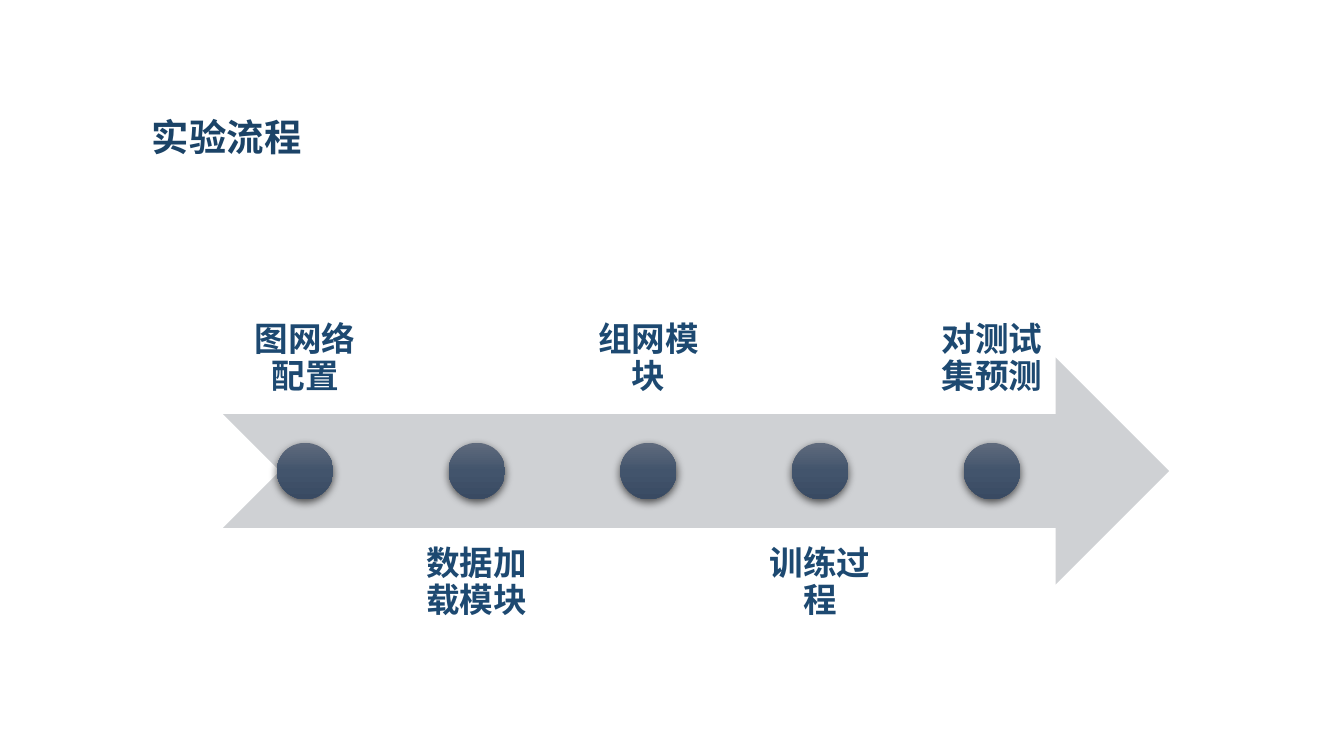
import lxml.etree
import pptx
import pptx.dml.color
import pptx.enum.shapes
import pptx.enum.text
import pptx.oxml.ns
import pptx.util

Inches = pptx.util.Inches
Pt = pptx.util.Pt
Shape = pptx.enum.shapes.MSO_SHAPE
Align = pptx.enum.text.PP_ALIGN
Anchor = pptx.enum.text.MSO_ANCHOR
qn = pptx.oxml.ns.qn

FONT = "Noto Sans CJK SC"
COLORS = {"title": "1B4367", "label": "1D4971", "arrow": "CFD1D4", "shadow": "000000"}
DOT_STOPS = {0: "606B7D", 50: "42546C", 100: "394A62"}
STEPS = ["图网络配置", "数据加载模块", "组网模块", "训练过程", "对测试集预测"]


def add_xml(parent, tag, **attributes):
    return lxml.etree.SubElement(parent, qn(tag), attributes)


def write_text(box, text, size, color, align, anchor, margins):
    frame = box.text_frame
    frame.word_wrap = True
    frame.auto_size = pptx.enum.text.MSO_AUTO_SIZE.NONE
    frame.vertical_anchor = anchor
    frame.margin_left = frame.margin_right = Inches(margins[0])
    frame.margin_top = frame.margin_bottom = Inches(margins[1])
    frame.text = text
    para = frame.paragraphs[0]
    para.alignment = align
    para.space_before = Pt(0)
    span = para.runs[0]
    span.font.size = Pt(size)
    span.font.bold = True
    span.font.name = FONT
    span.font.color.rgb = pptx.dml.color.RGBColor.from_string(color)
    add_xml(span.font._element, "a:ea", typeface=FONT)
    return para


def add_shape(page, kind, left, top, width, height):
    shape = page.shapes.add_shape(
        kind, Inches(left), Inches(top), Inches(width), Inches(height))
    shape.line.fill.background()
    shape.shadow.inherit = False
    return shape


def add_title(page, left, top, width, height):
    title = page.shapes.title
    title.left, title.top = Inches(left), Inches(top)
    title.width, title.height = Inches(width), Inches(height)
    para = write_text(title, "实验流程", 20, COLORS["title"], Align.LEFT, Anchor.TOP, (0.07, 0.04))
    para.line_spacing = 1.0


def add_dot(page, left, top, size):
    """Add a circle with a vertical gradient and a soft shadow below."""
    dot = add_shape(page, Shape.OVAL, left, top, size, size)
    dot.fill.gradient()
    dot.fill.gradient_angle = 270
    properties = dot._element.spPr
    stops = properties.find(".//" + qn("a:gsLst"))
    for stop in list(stops):
        stops.remove(stop)
    for percent, color in DOT_STOPS.items():
        stop = add_xml(stops, "a:gs", pos=str(percent * 1000))
        add_xml(stop, "a:srgbClr", val=color)
    shadow = add_xml(properties.find(qn("a:effectLst")), "a:outerShdw",
                     blurRad=str(Pt(4.5)), dist=str(Pt(1.5)), dir="5400000", rotWithShape="0")
    color = add_xml(shadow, "a:srgbClr", val=COLORS["shadow"])
    add_xml(color, "a:alpha", val="63000")


def add_process(page, left, top, width, height):
    """Add the arrow with its dots, and labels alternating above and below."""
    arrow = add_shape(page, Shape.NOTCHED_RIGHT_ARROW, left, top, width, height)
    arrow.fill.solid()
    arrow.fill.fore_color.rgb = pptx.dml.color.RGBColor.from_string(COLORS["arrow"])

    label_width, dot_size = 1.22, 0.42
    pitch = 5.11 / (len(STEPS) - 1)
    label_offset = 0.75 * height
    for index, step in enumerate(STEPS):
        above = index % 2 == 0
        label_left = left + index * pitch
        label_top = top - label_offset if above else top + label_offset
        label = page.shapes.add_textbox(
            Inches(label_left), Inches(label_top), Inches(label_width), Inches(height))
        para = write_text(label, step, 18, COLORS["label"], Align.CENTER,
                          Anchor.BOTTOM if above else Anchor.TOP, (0.14, 0.14))
        para.line_spacing = 0.9
        add_dot(page, label_left + (label_width - dot_size) / 2,
                top + (height - dot_size) / 2, dot_size)


def main():
    deck = pptx.Presentation()
    deck.slide_width = Inches(10)
    deck.slide_height = deck.slide_width * 9 // 16
    page = deck.slides.add_slide(deck.slide_layouts.get_by_name("Title Only"))
    add_title(page, 1.06, 0.81, 1.34, 0.41)
    add_process(page, 1.66, 2.66, 7.04, 1.69)
    deck.save("out.pptx")


if __name__ == "__main__":
    main()
